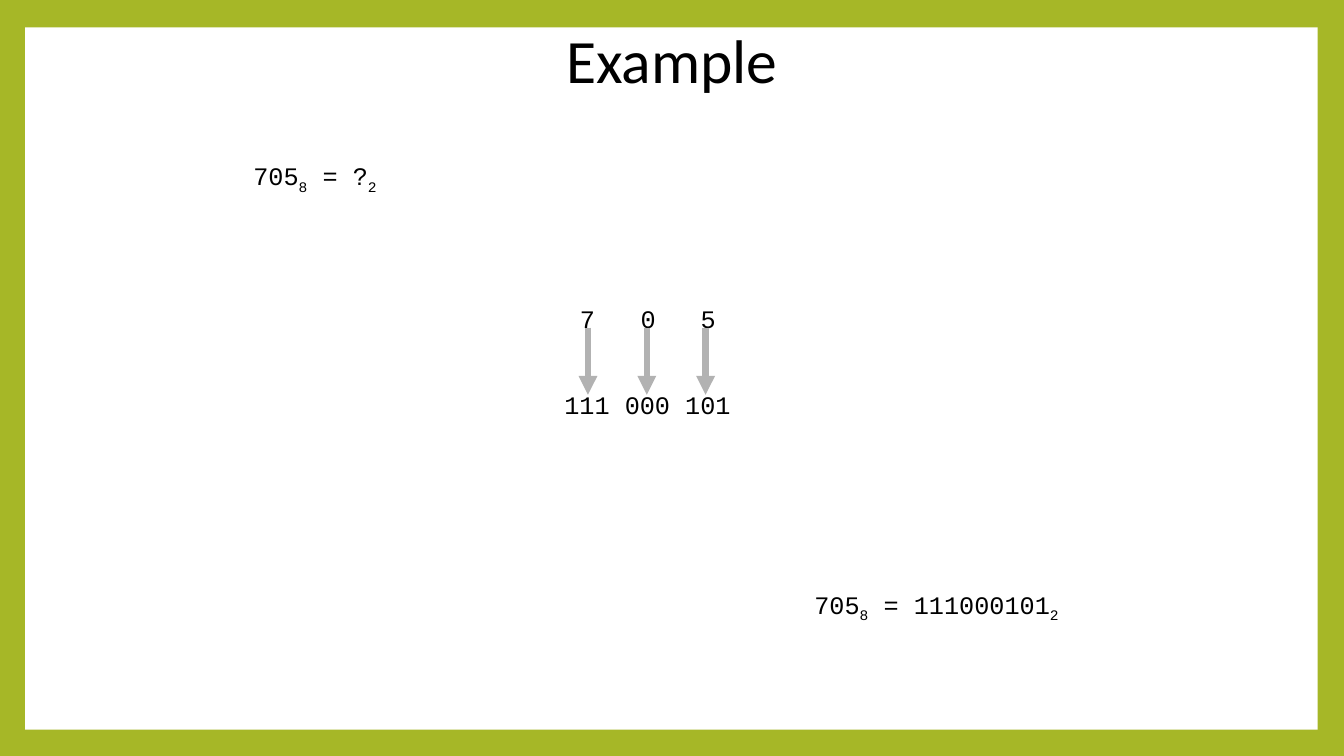
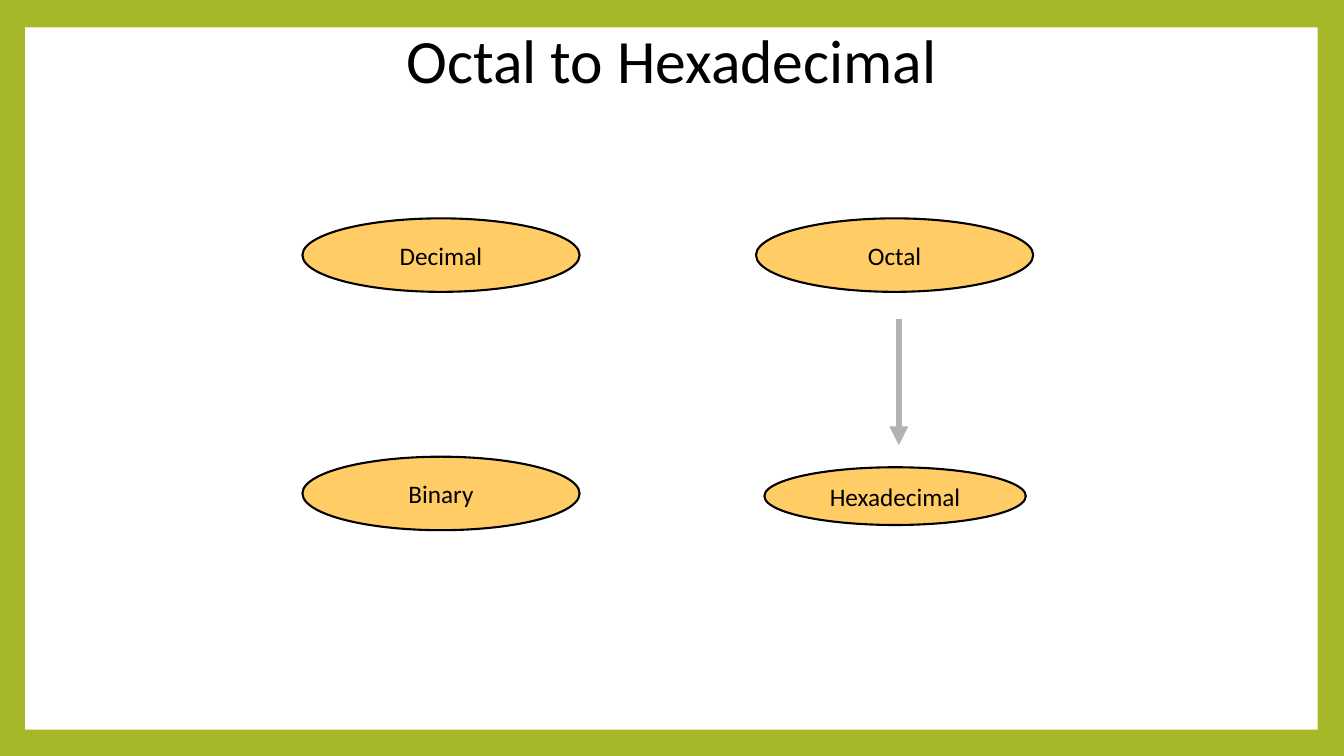
from dataclasses import dataclass

from lxml.etree import SubElement
from pptx import Presentation
from pptx.dml.color import RGBColor
from pptx.enum.shapes import MSO_CONNECTOR, MSO_SHAPE
from pptx.enum.text import MSO_ANCHOR, MSO_AUTO_SIZE, PP_ALIGN
from pptx.oxml.ns import qn
from pptx.util import Emu, Pt

EMU_PER_PX = 9525


@dataclass(frozen=True)
class Theme:
    border: RGBColor = RGBColor(0xA6, 0xB7, 0x27)
    panel: RGBColor = RGBColor(0xFF, 0xFF, 0xFF)
    ink: RGBColor = RGBColor(0x00, 0x00, 0x00)
    bubble: RGBColor = RGBColor(0xFF, 0xCC, 0x66)
    arrow: RGBColor = RGBColor(0xB2, 0xB2, 0xB2)
    sans: str = "Calibri"
    mono: str = "Courier New"
    title_size: int = 44
    body_size: int = 18
    outline_width: float = 1.5
    arrow_width: float = 4.5


@dataclass(frozen=True)
class Area:
    left: int
    top: int
    width: int
    height: int


@dataclass(frozen=True)
class Span:
    text: str
    subscript: bool = False


@dataclass(frozen=True)
class Equation:
    area: Area
    spans: tuple[Span, ...]


@dataclass(frozen=True)
class Bubble:
    label: str
    area: Area


@dataclass(frozen=True)
class Arrow:
    x: int
    top: int
    bottom: int


THEME = Theme()
PAGE = Area(0, 0, 1280, 720)
PANEL = Area(24, 26, 1231, 669)
TITLE = Area(232, 16, 816, 80)
TITLE_FONT = {"name": THEME.sans, "size": Pt(THEME.title_size)}
LABEL_FONT = {"name": THEME.sans, "size": Pt(THEME.body_size)}
MONO_FONT = {"name": THEME.mono, "size": Pt(THEME.body_size)}

# Example: equations and digit groups
EQUATIONS = (
    Equation(Area(192, 144, 216, 38),
             (Span("705"), Span("8", True), Span(" = ?"), Span("2", True))),
    Equation(Area(704, 552, 376, 38),
             (Span("705"), Span("8", True), Span(" = 111000101"), Span("2", True))),
)
DIGITS = {"7": "111", "0": "000", "5": "101"}
DIGIT_AREA = Area(528, 280, 280, 126)
DIGIT_TABS = [22 + round(57.6 * column) for column in range(len(DIGITS))]
DIGIT_ARROWS = [Arrow(560 + 56 * column, 312, 376) for column in range(len(DIGITS))]

# Octal to Hexadecimal: number systems
BUBBLES = (
    Bubble("Decimal", Area(288, 208, 264, 70)),
    Bubble("Octal", Area(720, 208, 264, 70)),
    Bubble("Binary", Area(288, 435, 264, 70)),
    Bubble("Hexadecimal", Area(728, 445, 249, 55)),
)
SYSTEM_ARROW = Arrow(856, 304, 424)


def px(length: int) -> Emu:
    return Emu(length * EMU_PER_PX)


def bounds(area: Area) -> tuple[Emu, ...]:
    return tuple(px(n) for n in (area.left, area.top, area.width, area.height))


def apply(target, values: dict) -> None:
    for name, value in values.items():
        setattr(target, name, value)


def add_span(para, span: Span, font: dict) -> None:
    run = para.add_run()
    run.text = span.text
    apply(run.font, font)
    run.font.color.rgb = THEME.ink
    if span.subscript:
        run.font._element.set("baseline", "-25000")


def add_page(deck, title: str):
    page = deck.slides.add_slide(deck.slide_layouts[5])
    heading = page.shapes.title
    apply(heading, dict(zip(("left", "top", "width", "height"), bounds(TITLE))))
    apply(heading.text_frame, {"auto_size": MSO_AUTO_SIZE.NONE,
                               "vertical_anchor": MSO_ANCHOR.MIDDLE})
    para = heading.text_frame.paragraphs[0]
    para.alignment = PP_ALIGN.CENTER
    add_span(para, Span(title), TITLE_FONT)
    # The white panel lies behind the title
    panel = page.shapes.add_shape(MSO_SHAPE.RECTANGLE, *bounds(PANEL))
    panel.shadow.inherit = False
    panel.fill.solid()
    panel.fill.fore_color.rgb = THEME.panel
    panel.line.fill.background()
    heading.element.addprevious(panel.element)
    return page


def add_text_frame(page, area: Area):
    frame = page.shapes.add_textbox(*bounds(area)).text_frame
    apply(frame, {"word_wrap": True, "margin_top": px(9), "margin_bottom": 0})
    return frame


def add_equation(page, equation: Equation) -> None:
    para = add_text_frame(page, equation.area).paragraphs[0]
    para.alignment = PP_ALIGN.CENTER
    for span in equation.spans:
        add_span(para, span, MONO_FONT)


def add_digit_groups(page) -> None:
    frame = add_text_frame(page, DIGIT_AREA)
    octal, binary = frame.paragraphs[0], frame.add_paragraph()
    # Each octal digit is centred above its three bits
    tabs = SubElement(octal._p.get_or_add_pPr(), qn("a:tabLst"))
    for position in DIGIT_TABS:
        SubElement(tabs, qn("a:tab"), pos=str(px(position)), algn="ctr")
    add_span(octal, Span("".join(f"\t{digit}" for digit in DIGITS)), MONO_FONT)
    binary.space_before = Pt(40)
    add_span(binary, Span(" ".join(DIGITS.values())), MONO_FONT)


def add_bubble(page, bubble: Bubble) -> None:
    oval = page.shapes.add_shape(MSO_SHAPE.OVAL, *bounds(bubble.area))
    oval.shadow.inherit = False
    oval.fill.solid()
    oval.fill.fore_color.rgb = THEME.bubble
    oval.line.color.rgb = THEME.ink
    oval.line.width = Pt(THEME.outline_width)
    apply(oval.text_frame, {"word_wrap": False, "vertical_anchor": MSO_ANCHOR.MIDDLE})
    para = oval.text_frame.paragraphs[0]
    para.alignment = PP_ALIGN.CENTER
    add_span(para, Span(bubble.label), LABEL_FONT)


def add_arrow(page, arrow: Arrow) -> None:
    line = page.shapes.add_connector(MSO_CONNECTOR.STRAIGHT, px(arrow.x), px(arrow.top),
                                     px(arrow.x), px(arrow.bottom))
    line.line.color.rgb = THEME.arrow
    line.line.width = Pt(THEME.arrow_width)
    SubElement(line.line._get_or_add_ln(), qn("a:tailEnd"), type="triangle")
    SubElement(line.element.spPr, qn("a:effectLst"))


def build_example(deck) -> None:
    page = add_page(deck, "Example")
    add_digit_groups(page)
    for arrow in DIGIT_ARROWS:
        add_arrow(page, arrow)
    for equation in EQUATIONS:
        add_equation(page, equation)


def build_octal_to_hexadecimal(deck) -> None:
    page = add_page(deck, "Octal to Hexadecimal")
    for bubble in BUBBLES:
        add_bubble(page, bubble)
    add_arrow(page, SYSTEM_ARROW)


def main() -> None:
    deck = Presentation()
    apply(deck, {"slide_width": px(PAGE.width), "slide_height": px(PAGE.height)})
    backdrop = deck.slide_master.background.fill
    backdrop.solid()
    backdrop.fore_color.rgb = THEME.border
    build_example(deck)
    build_octal_to_hexadecimal(deck)
    deck.save("out.pptx")


if __name__ == "__main__":
    main()
